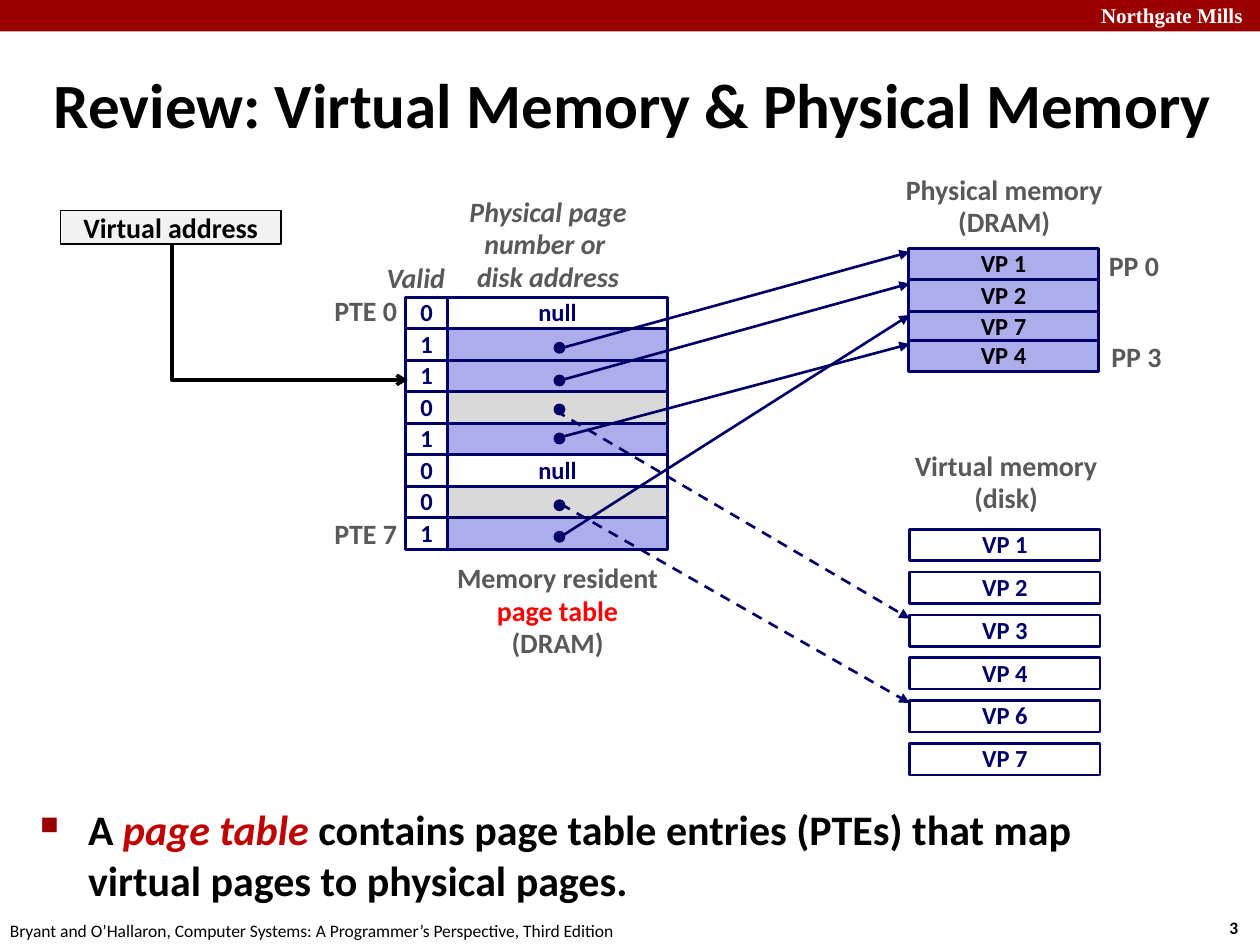
from lxml import etree
from pptx import Presentation
from pptx.dml.color import RGBColor
from pptx.enum.dml import MSO_LINE
from pptx.enum.shapes import MSO_CONNECTOR as CONN, MSO_SHAPE as SHAPE
from pptx.enum.text import MSO_ANCHOR as ANCHOR, PP_ALIGN as ALIGN
from pptx.oxml.ns import qn
from pptx.util import Inches, Pt

COLORS = {
    "banner": "990000", "white": "FFFFFF", "black": "000000", "navy": "000066",
    "lilac": "ADADEB", "gray": "D9D9D9", "pale": "F2F2F2", "label": "595959",
    "red": "FF0000", "crimson": "C00000",
}

prs = Presentation()
prs.slide_width, prs.slide_height = Inches(10), Inches(7.5)
s = prs.slides.add_slide(prs.slide_layouts[6])


def rgb(name):
    return RGBColor.from_string(COLORS[name])


def write(sp, paragraphs, size, color, align=ALIGN.LEFT, anchor=ANCHOR.TOP,
          wrap=False, spacing=0.98, name="Calibri", **style):
    """Fill a shape with paragraphs, each a list of (text, font overrides)."""
    tf = sp.text_frame
    tf.word_wrap, tf.vertical_anchor = wrap, anchor
    for i, runs in enumerate(paragraphs):
        p = tf.paragraphs[0] if i == 0 else tf.add_paragraph()
        p.alignment, p.line_spacing = align, spacing
        for text, changes in runs:
            r = p.add_run()
            r.text = text
            font = {"name": name, "size": Pt(size), "bold": True, "color": color}
            font.update(style)
            font.update(changes)
            r.font.color.rgb = rgb(font.pop("color"))
            for key, value in font.items():
                setattr(r.font, key, value)


# Boxes: left, top, width, height, fill, text, text colour
ROW = 0.25
PTE_LEFT, PTE_TOP = 3.55, 2.36
boxes = []
entries = [("0", "white", "null"), ("1", "lilac", ""), ("1", "lilac", ""),
           ("0", "gray", ""), ("1", "lilac", ""), ("0", "white", "null"),
           ("0", "gray", ""), ("1", "lilac", "")]
for i, (valid, fill, text) in enumerate(entries):
    top = PTE_TOP + i * ROW
    boxes.append((PTE_LEFT, top, 1.75, ROW, fill, text, "navy"))
    boxes.append((3.22, top, 0.33, ROW, None, valid, "navy"))
for top, text in [(2.47, "VP 7"), (2.7, "VP 4"), (2.22, "VP 2"), (1.97, "VP 1")]:
    boxes.append((7.21, top, 1.51, ROW, "lilac", text, "black"))
for i, number in enumerate([1, 2, 3, 4, 6, 7]):
    boxes.append((7.22, 4.2 + i * 0.34, 1.51, ROW, "white", f"VP {number}", "navy"))

drawn = []
for left, top, width, height, fill, text, color in boxes:
    sp = s.shapes.add_shape(SHAPE.RECTANGLE, Inches(left), Inches(top),
                            Inches(width), Inches(height))
    sp.shadow.inherit = False
    if fill:
        sp.fill.solid()
        sp.fill.fore_color.rgb = rgb(fill)
    else:
        sp.fill.background()
    sp.line.color.rgb = rgb("navy")
    sp.line.width = Pt(1.5)
    if text:
        write(sp, [[(text, {})]], 14, color, ALIGN.CENTER, ANCHOR.MIDDLE)
    drawn.append(sp)
target_cell = drawn[5]  # valid bit of the third entry

# Banner and virtual address box
banner = s.shapes.add_shape(SHAPE.RECTANGLE, 0, 0, Inches(10), Inches(0.25))
banner.line.fill.background()
address = s.shapes.add_shape(SHAPE.RECTANGLE, Inches(0.48), Inches(1.67),
                             Inches(1.75), Inches(0.27))
address.line.color.rgb = rgb("black")
address.line.width = Pt(1)
for sp, fill in [(banner, "banner"), (address, "pale")]:
    sp.shadow.inherit = False
    sp.fill.solid()
    sp.fill.fore_color.rgb = rgb(fill)
write(address, [[("Virtual address", {})]], 16, "black", ALIGN.CENTER,
      ANCHOR.MIDDLE, wrap=True, spacing=1.0)

# Text: left, top, width, height, paragraphs, format
label = {"size": 16, "color": "label", "align": ALIGN.CENTER}
middle = {**label, "anchor": ANCHOR.MIDDLE}
right = {**middle, "align": ALIGN.RIGHT}
plain = {"size": 10, "color": "black", "spacing": 1.0}
texts = [
    (8.64, -0.03, 1.43, 0.3, ["Northgate Mills"],
     {"size": 12, "color": "white", "name": "Times New Roman", "wrap": True,
      "spacing": 1.0}),
    (9.66, 7.23, 0.37, 0.27, ["3"], plain),
    (-0.02, 7.25, 5.08, 0.27,
     ["Bryant and O’Hallaron, Computer Systems: A Programmer’s Perspective, Third Edition"],
     {**plain, "bold": False}),
    (0.33, 0.39, 9.51, 0.86, ["Review: Virtual Memory & Physical Memory"],
     {"size": 36, "color": "black", "anchor": ANCHOR.MIDDLE, "wrap": True,
      "spacing": 1.0}),
    (7.08, 1.33, 1.78, 0.63, ["Physical memory", "(DRAM)"], label),
    (7.14, 3.52, 1.69, 0.63, ["Virtual memory", "(disk)"], label),
    (2.97, 2.03, 0.75, 0.37, ["Valid"],
     {**label, "align": ALIGN.LEFT, "wrap": True, "italic": True}),
    (3.62, 1.5, 1.46, 0.89, ["Physical page", "number or ", "disk address"],
     {**middle, "italic": True}),
    (2.55, 2.29, 0.7, 0.37, ["PTE 0"], right),
    (2.55, 4.06, 0.7, 0.37, ["PTE 7"], right),
    (8.7, 1.93, 0.6, 0.37, ["PP 0"], middle),
    (8.72, 2.65, 0.6, 0.37, ["PP 3"], middle),
    (3.5, 4.41, 1.85, 0.89,
     ["Memory resident", ("page table", {"color": "red"}), "(DRAM)"], label),
]
for left, top, width, height, lines, fmt in texts:
    sp = s.shapes.add_textbox(Inches(left), Inches(top), Inches(width), Inches(height))
    write(sp, [[(t, {}) if isinstance(t, str) else t] for t in lines], **fmt)

# Bulleted statement
sp = s.shapes.add_textbox(Inches(0.22), Inches(6.33), Inches(9.09), Inches(0.96))
write(sp, [[("A ", {}), ("page table ", {"color": "crimson", "italic": True}),
            ("contains page table entries (PTEs) that map virtual pages to physical pages.", {})]],
      24, "black", wrap=True, spacing=1.0)
p = sp.text_frame.paragraphs[0]
p.space_before = Pt(4.8)
pPr = p._p.get_or_add_pPr()
pPr.set("marL", str(Inches(0.38)))
pPr.set("indent", str(-Inches(0.38)))
bullet_color = etree.SubElement(pPr, qn("a:buClr"))
etree.SubElement(bullet_color, qn("a:srgbClr"), val=COLORS["banner"])
etree.SubElement(pPr, qn("a:buSzPct"), val="60000")
etree.SubElement(pPr, qn("a:buChar"), char="■")

# Arrows: connector, colour, width, head, dashed
arrows = []
for x1, y1, x2, y2, dashed in [
    (4.43, 2.77, 7.22, 2, False), (4.48, 3.01, 7.22, 2.25, False),
    (4.41, 3.26, 7.22, 4.91, True), (4.45, 3.47, 7.22, 2.73, False),
    (4.45, 4, 7.22, 5.58, True), (4.45, 4.26, 7.22, 2.5, False),
]:
    c = s.shapes.add_connector(CONN.STRAIGHT, Inches(x1), Inches(y1), Inches(x2), Inches(y2))
    arrows.append((c, "navy", 1.5, "triangle", dashed))

# One-bend connector from the address down and across to its table entry
bent = s.shapes.add_connector(CONN.ELBOW, Inches(1.36), Inches(1.93), Inches(3.23), Inches(3.01))
bent.begin_connect(address, 2)
bent.end_connect(target_cell, 1)
bent.left, bent.top = Inches(1.76), Inches(1.54)
bent.width, bent.height = Inches(1.08), Inches(1.87)
spPr = bent._element.spPr
spPr.find(qn("a:prstGeom")).set("prst", "bentConnector2")
xfrm = spPr.find(qn("a:xfrm"))
xfrm.set("rot", str(270 * 60000))
xfrm.set("flipH", "1")
arrows.append((bent, "black", 2, "arrow", False))

for c, color, width, head, dashed in arrows:
    c.line.color.rgb = rgb(color)
    c.line.width = Pt(width)
    if dashed:
        c.line.dash_style = MSO_LINE.DASH
    etree.SubElement(c.line._get_or_add_ln(), qn("a:tailEnd"), type=head)
    etree.SubElement(c._element.spPr, qn("a:effectLst"))

# Pointer dots
for top in [2.72, 2.98, 3.21, 3.44, 3.97, 4.22]:
    sp = s.shapes.add_shape(SHAPE.OVAL, Inches(4.4), Inches(top), Inches(0.08), Inches(0.08))
    sp.shadow.inherit = False
    sp.fill.solid()
    sp.fill.fore_color.rgb = rgb("navy")
    sp.line.color.rgb = rgb("navy")
    sp.line.width = Pt(1)

prs.save("out.pptx")
